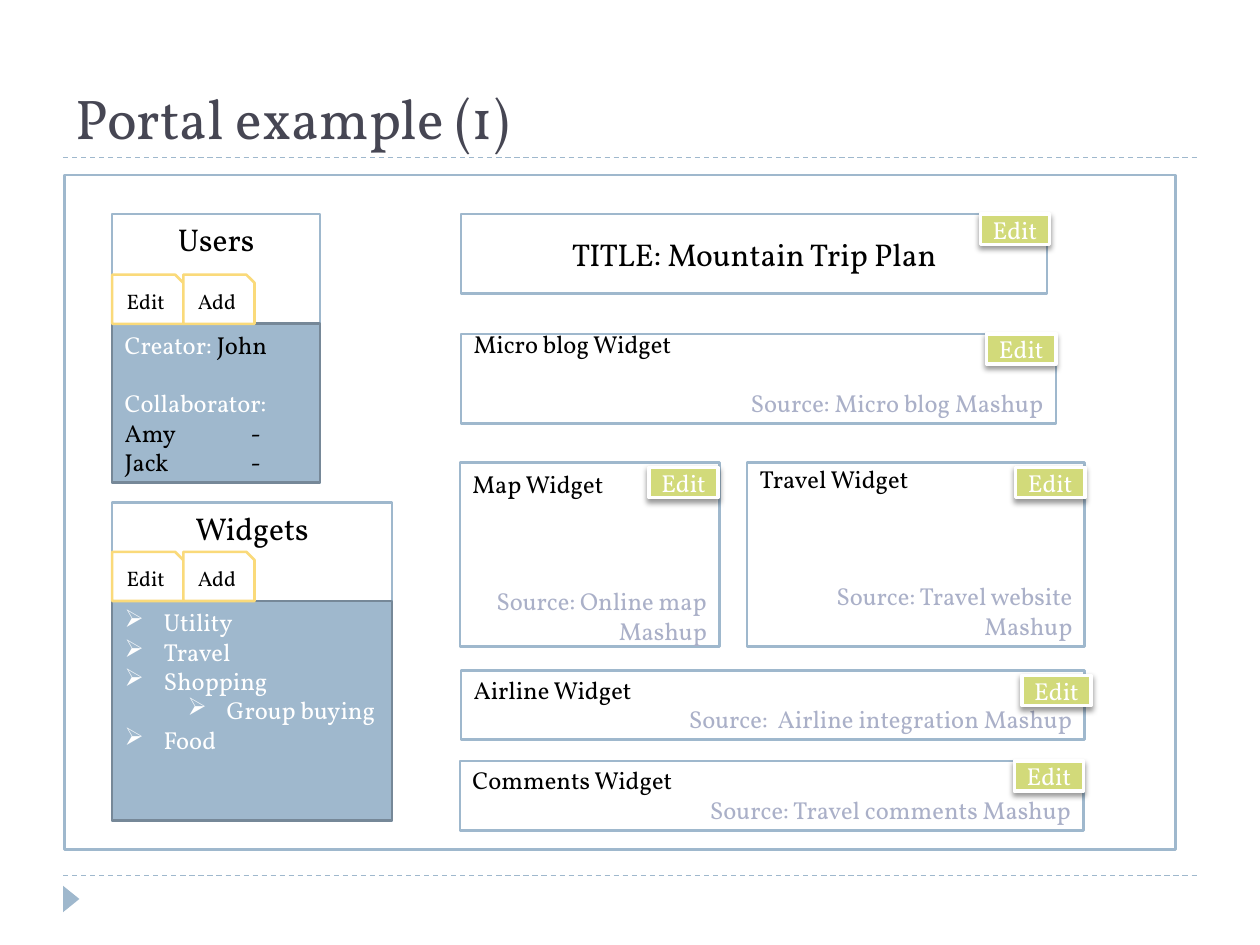
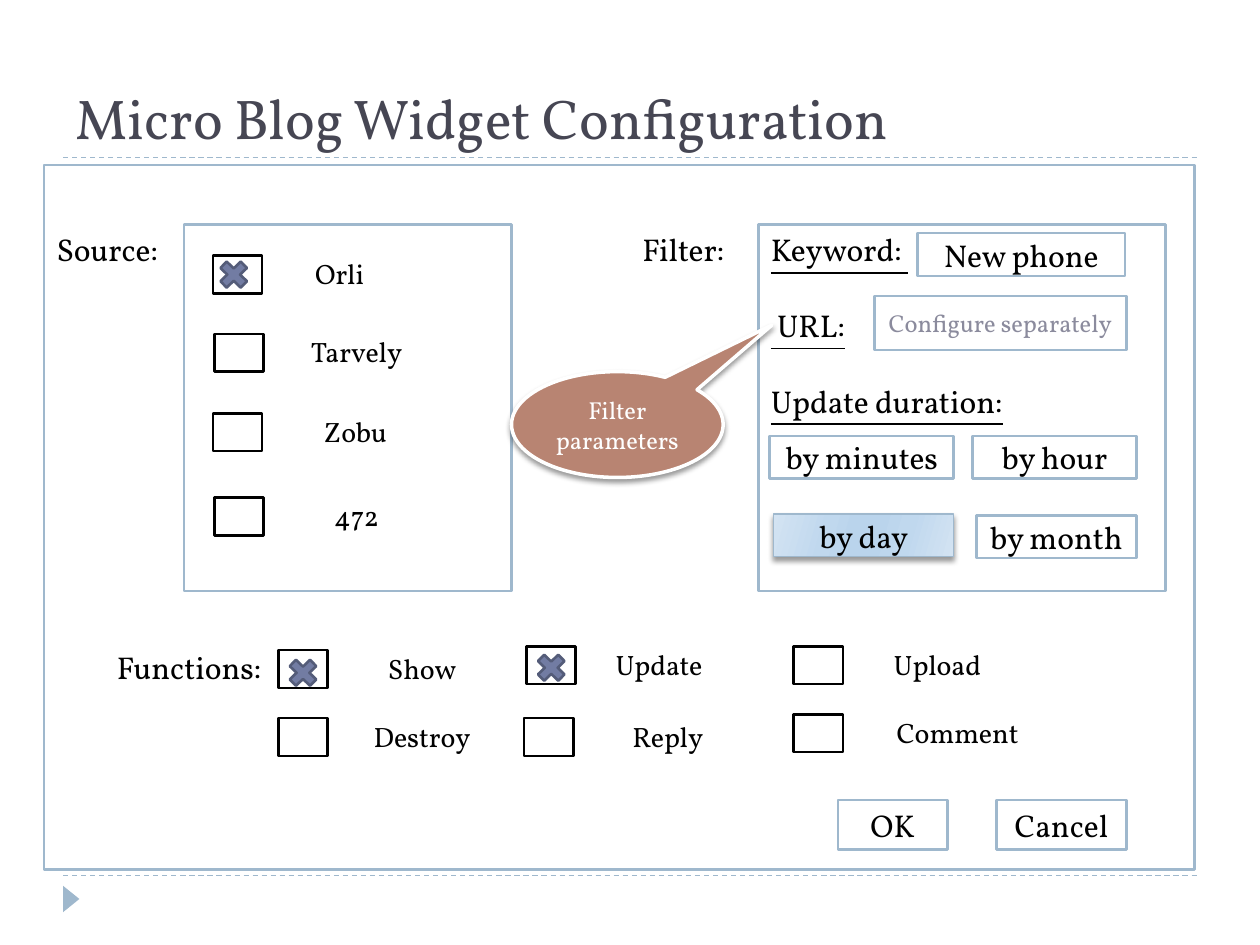
from lxml import etree
from pptx import Presentation
from pptx.dml.color import RGBColor
from pptx.enum.dml import MSO_LINE
from pptx.enum.shapes import MSO_CONNECTOR, MSO_SHAPE
from pptx.enum.text import MSO_ANCHOR, PP_ALIGN
from pptx.oxml.ns import qn
from pptx.util import Inches, Pt

RECT, TAB = MSO_SHAPE.RECTANGLE, MSO_SHAPE.SNIP_1_RECTANGLE
TRIANGLE, CROSS = MSO_SHAPE.ISOSCELES_TRIANGLE, MSO_SHAPE.MATH_MULTIPLY
CALLOUT = MSO_SHAPE.OVAL_CALLOUT
TOP, MIDDLE, BOTTOM = MSO_ANCHOR.TOP, MSO_ANCHOR.MIDDLE, MSO_ANCHOR.BOTTOM
LEFT, CENTER, RIGHT = PP_ALIGN.LEFT, PP_ALIGN.CENTER, PP_ALIGN.RIGHT

FONT = "Vollkorn"
COLORS = {
    "white": "FFFFFF", "black": "000000", "title": "464653",
    "blue": "9FB8CD", "blue_edge": "768898", "source": "AAB0C8",
    "hint": "8B8B9D", "green": "D2DA7A", "yellow": "FADA7A",
    "cross": "727CA3", "cross_edge": "545C79", "clay": "B88472",
}
DAY_STOPS = [(0, "D3E3F2"), (30, "C0D8EE"), (45, "BAD4EC"),
             (55, "BAD4EC"), (73, "C0D8EE"), (100, "D3E3F2")]
LINE_SPACING = 1.2  # height of a text line relative to its size


def grid(*cells):
    """Lengths on a grid of 100 columns by 75 rows of square cells."""
    return [Inches(c / 10) for c in cells]


def rgb(name):
    return RGBColor.from_string(COLORS[name])


def style(p, size, color="black", align=LEFT, skipped_lines=0):
    p.alignment = align
    if skipped_lines:
        p.space_before = Pt(skipped_lines * size * LINE_SPACING)
    p.font.name, p.font.size = FONT, Pt(size)
    p.font.color.rgb = rgb(color)


def write(sp, lines, anchor=MIDDLE):
    """Fill a shape with paragraphs given as (text, style keywords)."""
    tf = sp.text_frame
    tf.word_wrap = True
    tf.vertical_anchor = anchor
    for i, (text, look) in enumerate(lines):
        p = tf.add_paragraph() if i else tf.paragraphs[0]
        p.add_run().text = text
        style(p, **look)
    return tf


def add_shadow(sp):
    effects = sp.element.spPr.find(qn("a:effectLst"))
    shadow = etree.SubElement(effects, qn("a:outerShdw"), blurRad=str(Pt(3)),
                              dist=str(Pt(2)), dir="5400000", rotWithShape="0")
    black = etree.SubElement(shadow, qn("a:srgbClr"), val=COLORS["black"])
    etree.SubElement(black, qn("a:alpha"), val="40000")


def add_box(slide, box, kind=RECT, fill="white", line="blue", width=1.5, shadow=False):
    sp = slide.shapes.add_shape(kind, *grid(*box))
    sp.shadow.inherit = False
    sp.fill.solid()
    sp.fill.fore_color.rgb = rgb(fill)
    if line:
        sp.line.color.rgb = rgb(line)
        sp.line.width = Pt(width)
    else:
        sp.line.fill.background()
    if shadow:
        add_shadow(sp)
    return sp


def add_button(slide, box, text, size=18, color="black", **look):
    sp = add_box(slide, box, **look)
    write(sp, [(text, dict(size=size, color=color, align=CENTER))])
    return sp


def add_label(slide, box, text, size=18, align=LEFT):
    write(slide.shapes.add_textbox(*grid(*box)),
          [(text, dict(size=size, align=align))], TOP)


def add_edit_tag(slide, right, top):
    sp = add_button(slide, (right - 5.5, top, 5.5, 2.4), "Edit", 14, "white",
                    fill="green", line="white", width=2, shadow=True)
    tf = sp.text_frame
    tf.margin_left = tf.margin_right = tf.margin_top = tf.margin_bottom = 0


def add_widget(slide, box, name, source, gap, anchor, tag_shift):
    """A widget with its name, its source and an edit tag at the top right."""
    write(add_box(slide, box),
          [(name, dict(size=14)),
           (source, dict(size=14, color="source", align=RIGHT, skipped_lines=gap))], anchor)
    left, top, width, _ = box
    dx, dy = tag_shift
    add_edit_tag(slide, left + width + dx, top + dy)


def add_side_panel(slide, left, top, width, height, heading, body_top):
    """A headed panel with Edit and Add tabs; returns its coloured body."""
    write(add_box(slide, (left, top, width, height)),
          [(heading, dict(size=18, align=CENTER))], TOP)
    body = add_box(slide, (left, body_top, width, top + height - body_top),
                   fill="blue", line="blue_edge")
    for i, text in enumerate(("Edit", "Add")):
        add_button(slide, (left + 5.65 * i, body_top - 3.9, 5.65, 3.9), text, 12,
                   kind=TAB, line="yellow")
    return body


def add_bullet(p, level):
    p.level = level
    pPr = p._p.get_or_add_pPr()
    pPr.set("marL", str(Inches(0.31 + 0.5 * level)))
    pPr.set("indent", str(Inches(-0.31)))
    pPr.insert(0, etree.Element(qn("a:buChar"), char="➢"))


def add_tab_stop(p, inches):
    tabs = etree.Element(qn("a:tabLst"))
    etree.SubElement(tabs, qn("a:tab"), pos=str(Inches(inches)), algn="l")
    p._p.get_or_add_pPr().insert(0, tabs)


def add_checkbox(slide, col, row, text, cross=None, label_dx=6.4, label_width=10):
    """A box and its label; cross is the offset of the mark within the box."""
    add_box(slide, (col, row, 3.9, 3), line="black")
    add_label(slide, (col + label_dx, row - 0.4, label_width, 3.7), text, 16, CENTER)
    if cross:
        add_box(slide, (col + cross[0], row + cross[1], 3.1, 3), CROSS, "cross", "cross_edge")


def shade_day_button(sp):
    sp.fill.gradient()
    gradient = sp.element.spPr.find(qn("a:gradFill"))
    gradient.find(qn("a:lin")).set("ang", str(16 * 60000))
    stops = gradient.find(qn("a:gsLst"))
    for stop in list(stops):
        stops.remove(stop)
    for position, color in DAY_STOPS:
        stop = etree.SubElement(stops, qn("a:gs"), pos=str(position * 1000))
        etree.SubElement(stop, qn("a:srgbClr"), val=color)


def add_slide(prs, layout, title):
    slide = prs.slides.add_slide(layout)
    sp = slide.shapes.title
    sp.left, sp.top, sp.width, sp.height = grid(5, 2.5, 90, 10)
    write(sp, [(title, dict(size=32, color="title"))], BOTTOM)
    return slide


def decorate_layout(layout, slide):
    """Draw the dashed rules and the footer arrow, then move them to the layout."""
    parts = []
    for row in (69.5, 12.5):
        rule = slide.shapes.add_connector(MSO_CONNECTOR.STRAIGHT, *grid(5, row, 95, row))
        rule.line.color.rgb = rgb("blue")
        rule.line.width = Pt(0.75)
        rule.line.dash_style = MSO_LINE.DASH
        etree.SubElement(rule.element.spPr, qn("a:effectLst"))
        parts.append(rule)
    arrow = add_box(slide, (4.6, 70.7, 2.1, 1.3), TRIANGLE, "blue", None)
    arrow.rotation = 90
    for part in parts + [arrow]:
        layout.shapes.element.append(part.element)


def fill_portal(slide):
    add_box(slide, (5.1, 13.9, 88.2, 53.5))

    add_button(slide, (36.6, 17, 46.5, 6.3), "TITLE: Mountain Trip Plan")
    add_edit_tag(slide, 83.3, 17)
    widgets = [
        ((36.6, 26.5, 47.2, 7.1), "Micro blog Widget", "Source: Micro blog Mashup",
         1, BOTTOM, (0, 0)),
        ((36.5, 36.7, 20.6, 14.6), "Map Widget", "Source: Online map Mashup",
         3, TOP, (-0.1, 0.4)),
        ((59.3, 36.7, 26.8, 14.6), "Travel Widget", "Source: Travel website Mashup",
         3, BOTTOM, (0, 0.4)),
        ((36.6, 53.2, 49.5, 5.5), "Airline Widget", "Source:  Airline integration Mashup",
         0, BOTTOM, (0.5, 0.4)),
        ((36.5, 60.4, 49.5, 5.5), "Comments Widget", "Source: Travel comments Mashup",
         0, BOTTOM, (0, 0)),
    ]
    for widget in widgets:
        add_widget(slide, *widget)

    body = add_side_panel(slide, 8.9, 39.9, 22.2, 25.2, "Widgets", 47.7)
    kinds = ["Utility", "Travel", "Shopping", "Group buying", "Food"]
    tf = write(body, [(kind, dict(size=14, color="white")) for kind in kinds], TOP)
    for p, kind in zip(tf.paragraphs, kinds):
        add_bullet(p, int(kind == "Group buying"))

    body = add_side_panel(slide, 8.9, 17, 16.5, 21.3, "Users", 25.7)
    tf = write(body, [
        ("Creator: ", dict(size=14, color="white")),
        ("Collaborator:", dict(size=14, color="white", skipped_lines=1)),
        ("Amy\t-", dict(size=14)),
        ("Jack\t-", dict(size=14)),
    ])
    r = tf.paragraphs[0].add_run()
    r.text = "John"
    r.font.color.rgb = rgb("black")
    for p in tf.paragraphs[2:]:
        add_tab_stop(p, 1)


def fill_configuration(slide):
    add_box(slide, (3.5, 13.1, 91.3, 55.9))

    add_label(slide, (3.5, 17.8, 10.2, 4), "Source:")
    add_box(slide, (14.6, 17.8, 26, 29.1))
    add_checkbox(slide, 16.9, 20.3, "Orli", (0.1, 0), 6.3, 7.5)
    for col, row, name in ((17, 26.5, "Tarvely"), (16.9, 32.8, "Zobu"), (17, 39.5, "472")):
        add_checkbox(slide, col, row, name, label_dx=6.3)

    add_label(slide, (50, 17.8, 10.2, 4), "Filter:")
    tf = write(add_box(slide, (60.2, 17.8, 32.3, 29.1)), [
        ("Keyword: ", dict(size=18)),
        (" URL:", dict(size=18, skipped_lines=1)),
        ("Update duration:", dict(size=18, skipped_lines=1)),
    ], TOP)
    for p in tf.paragraphs:
        p.font.underline = True
    add_button(slide, (72.8, 18.5, 16.5, 3.4), "New phone")
    add_button(slide, (69.4, 23.5, 20, 4.3), "Configure separately", 14, "hint")
    add_button(slide, (61.1, 34.6, 14.6, 3.4), "by minutes")
    add_button(slide, (77.2, 34.6, 13, 3.4), "by hour")
    shade_day_button(add_button(slide, (61.4, 40.8, 14.3, 3.4), "by day",
                                width=0.75, shadow=True))
    add_button(slide, (77.5, 40.9, 12.7, 3.4), "by month")

    add_label(slide, (8.3, 50.9, 13.7, 4), "Functions:")
    add_checkbox(slide, 22.1, 51.6, "Show", (0.4, 0.3))
    add_checkbox(slide, 41.8, 51.3, "Update", (0.4, 0.2), 5.5)
    add_checkbox(slide, 63, 51.3, "Upload")
    add_checkbox(slide, 22.1, 57, "Destroy")
    add_checkbox(slide, 41.6, 57, "Reply")
    add_checkbox(slide, 63, 56.7, "Comment", label_width=13.2)

    add_button(slide, (66.5, 63.5, 8.7, 3.9), "OK")
    add_button(slide, (79.1, 63.5, 10.3, 3.9), "Cancel")

    callout = add_button(slide, (40.6, 29.5, 16.8, 8.4), "Filter parameters", 14, "white",
                         kind=CALLOUT, fill="clay", line="white", width=2, shadow=True)
    callout.adjustments[0], callout.adjustments[1] = 0.73, -0.94


def main():
    prs = Presentation()
    prs.slide_width, prs.slide_height = grid(100, 75)
    layout = prs.slide_layouts[5]
    portal = add_slide(prs, layout, "Portal example (1)")
    decorate_layout(layout, portal)
    fill_portal(portal)
    fill_configuration(add_slide(prs, layout, "Micro Blog Widget Configuration"))
    prs.save("out.pptx")


if __name__ == "__main__":
    main()
